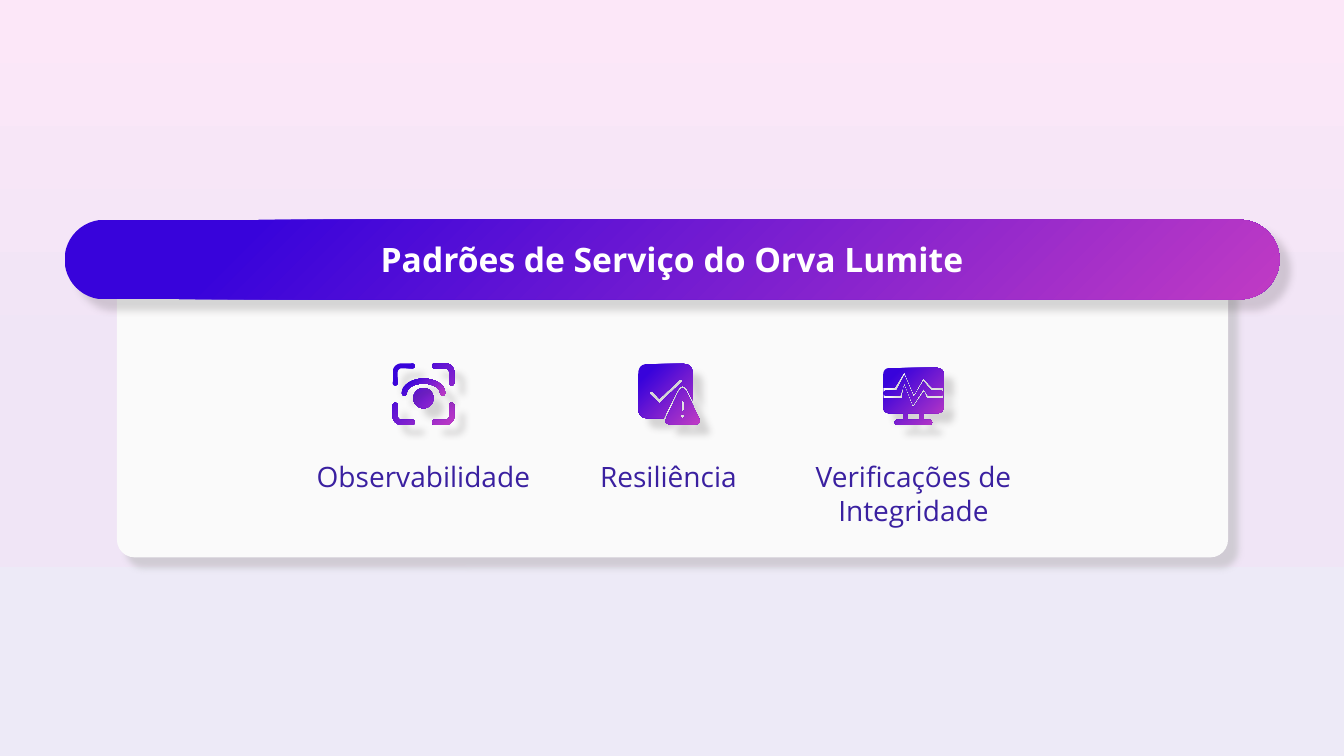
import math
from dataclasses import dataclass

import lxml.etree
import pptx
import pptx.dml.color
import pptx.enum.shapes
import pptx.enum.text
import pptx.oxml
import pptx.oxml.ns
import pptx.util

Inches, Pt = pptx.util.Inches, pptx.util.Pt
qn = pptx.oxml.ns.qn


@dataclass(frozen=True)
class Theme:
    font: str = "Open Sans"
    title_size: int = 24
    label_size: int = 20
    title: str = "FFFFFF"
    label: str = "3A20A0"
    card: str = "FAFAFA"
    card_shadow: tuple = ("B1B3B3", 50)
    accent_shadow: tuple = ("454142", 20)
    accent: tuple = ((0, "C03BC4"), (85, "3803DB"), (100, "3803DB"))
    background: tuple = ((0, "FCE7F8"), (50, "F0E5F6"), (100, "EDEAF7"))


THEME = Theme()
ICON_SIZE = 0.6
COLUMN_PITCH = 2.43


def color(value):
    return pptx.dml.color.RGBColor.from_string(value)


def set_gradient(fill, owner, stops, radial=False):
    """Fill with (percent, colour) stops, downwards or radiating from the bottom right corner."""
    fill.gradient()
    gradient = next(owner.iter(qn("a:gradFill")))
    gradient.clear()
    stop_list = lxml.etree.SubElement(gradient, qn("a:gsLst"))
    for percent, value in stops:
        stop = lxml.etree.SubElement(stop_list, qn("a:gs"), pos=str(percent * 1000))
        lxml.etree.SubElement(stop, qn("a:srgbClr"), val=value)
    if radial:
        circle = lxml.etree.SubElement(gradient, qn("a:path"), {"path": "circle"})
        lxml.etree.SubElement(circle, qn("a:fillToRect"), l="100000", t="100000")
    else:
        lxml.etree.SubElement(gradient, qn("a:lin"), ang="5400000", scaled="0")


def set_shadow(shape, value, opacity):
    shape.line.fill.background()
    shape.shadow.inherit = False
    effects = next(shape._element.iter(qn("a:effectLst")))
    shadow = lxml.etree.SubElement(
        effects, qn("a:outerShdw"), blurRad=str(Pt(5)), dist=str(Pt(10)),
        dir="2700000", algn="tl", rotWithShape="0")
    tint = lxml.etree.SubElement(shadow, qn("a:srgbClr"), val=value)
    lxml.etree.SubElement(tint, qn("a:alpha"), val=str(opacity * 1000))


def style_accent(shape):
    set_gradient(shape.fill, shape._element, THEME.accent, radial=True)
    set_shadow(shape, *THEME.accent_shadow)


def write_text(frame, text, *, size, value, bold=False):
    frame.word_wrap = True
    paragraph = frame.paragraphs[0]
    paragraph.text = text
    paragraph.alignment = pptx.enum.text.PP_ALIGN.CENTER
    paragraph.font.name = THEME.font
    paragraph.font.size = Pt(size)
    paragraph.font.bold = bold
    paragraph.font.color.rgb = color(value)


def add_round_rectangle(slide, box, rounding):
    shape = slide.shapes.add_shape(
        pptx.enum.shapes.MSO_SHAPE.ROUNDED_RECTANGLE, *map(Inches, box))
    shape.adjustments[0] = rounding
    return shape


def arc(center, radius_x, radius_y, start, end, steps=16):
    angles = [math.radians(start + (end - start) * i / steps) for i in range(steps + 1)]
    return [(center[0] + radius_x * math.cos(a), center[1] + radius_y * math.sin(a))
            for a in angles]


def circle(center, radius):
    return arc(center, radius, radius, 0, 360, 32)


def rounded_polygon(*corners):
    """Outline of (x, y, cut) corners, each rounded from cut before it to cut after it."""
    outline = []
    for i, (x, y, cut) in enumerate(corners):
        ends = []
        for other_x, other_y, _ in (corners[i - 1], corners[(i + 1) % len(corners)]):
            share = cut / math.hypot(other_x - x, other_y - y)
            ends.append((x + (other_x - x) * share, y + (other_y - y) * share))
        for t in [k / 6 for k in range(7)] if cut else [0]:
            weights = ((1 - t) ** 2, 2 * t * (1 - t), t ** 2)
            points = (ends[0], (x, y), ends[1])
            outline.append(tuple(sum(w * p[axis] for w, p in zip(weights, points))
                                 for axis in (0, 1)))
    return outline


def stroke(points, width, round_ends=True):
    """Outline of a line of the given width drawn along the points."""
    half = width / 2
    headings = [math.atan2(b[1] - a[1], b[0] - a[0]) for a, b in zip(points, points[1:])]
    left, right = [], []
    for i, (x, y) in enumerate(points):
        before, after = headings[max(i - 1, 0)], headings[min(i, len(headings) - 1)]
        turn = math.remainder(after - before, 2 * math.pi)
        normal = before + turn / 2 + math.pi / 2
        reach = half * min(1 / max(math.cos(turn / 2), 0.01), 1.3)
        dx, dy = reach * math.cos(normal), reach * math.sin(normal)
        left.append((x + dx, y + dy))
        right.append((x - dx, y - dy))
    if not round_ends:
        return left + right[::-1]
    first, last = math.degrees(headings[0]), math.degrees(headings[-1])
    return (left + arc(points[-1], half, half, last + 90, last - 90, 8)
            + right[::-1] + arc(points[0], half, half, first - 90, first - 270, 8))


def add_outline(slide, left, top, contours):
    """Draw the contours as one shape; a contour inside another cuts a hole."""
    placed = [[(Inches(left + x), Inches(top + y)) for x, y in contour]
              for contour in contours]
    builder = slide.shapes.build_freeform(*placed[0][0], scale=1.0)
    for i, contour in enumerate(placed):
        if i:
            builder.move_to(*contour[0])
        builder.add_line_segments(contour[1:], close=True)
    style_accent(builder.convert_to_shape())


def add_observability_icon(slide, left, top):
    bracket = stroke([(0.02, 0.19)] + arc((0.08, 0.08), 0.06, 0.06, 180, 270, 8)
                     + [(0.19, 0.02)], 0.05)
    brackets = [[(ICON_SIZE - x if flip_x else x, ICON_SIZE - y if flip_y else y)
                 for x, y in bracket]
                for flip_x in (False, True) for flip_y in (False, True)]
    add_outline(slide, left, top, brackets + [circle((0.3, 0.34), 0.1)])
    add_outline(slide, left, top, [stroke(arc((0.3, 0.29), 0.19, 0.12, 180, 360), 0.05)])


def add_resilience_icon(slide, left, top):
    add_outline(slide, left, top, [
        rounded_polygon((0, 0, 0.1), (0.54, 0, 0.1), (0.54, 0.36, 0),
                        (0.44, 0.15, 0.15), (0.25, 0.54, 0), (0, 0.54, 0.1)),
        stroke([(0.13, 0.29), (0.21, 0.37), (0.42, 0.17)], 0.04),
        rounded_polygon((0.44, 0.2, 0.1), (0.63, 0.6, 0.07), (0.25, 0.6, 0.07)),
        stroke([(0.44, 0.38), (0.44, 0.46)], 0.03),
        circle((0.44, 0.52), 0.02)])


def add_health_icon(slide, left, top):
    peaks = [(0.15, 0.25), (0.21, 0.11), (0.3, 0.33), (0.4, 0.17), (0.46, 0.25)]
    legs = [stroke([(x, 0.45), (x, 0.52)], 0.04, round_ends=False) for x in (0.22, 0.38)]
    add_outline(slide, left, top + 0.04, [
        rounded_polygon((0, 0, 0.07), (0.6, 0, 0.07), (0.6, 0.45, 0.07), (0, 0.45, 0.07)),
        stroke([(0, 0.25), *peaks, (0.6, 0.25)], 0.11, round_ends=False),
        stroke([(0.03, 0.25), *peaks, (0.57, 0.25)], 0.05),
        *legs,
        stroke([(0.14, 0.54), (0.46, 0.54)], 0.05)])


FEATURES = [
    ("Observabilidade", 2.43, 0.44, add_observability_icon),
    ("Resiliência", 2, 0.44, add_resilience_icon),
    ("Verificações de Integridade", 2.17, 0.77, add_health_icon),
]


def add_card(slide, box):
    card = add_round_rectangle(slide, box, 0.06)
    card.fill.solid()
    card.fill.fore_color.rgb = color(THEME.card)
    set_shadow(card, *THEME.card_shadow)


def add_features(slide, box):
    """Place one icon above its label per column of the card."""
    left, top = box[:2]
    for i, (text, width, height, add_icon) in enumerate(FEATURES):
        center = left + 3.04 + i * COLUMN_PITCH
        add_icon(slide, center - ICON_SIZE / 2, top + 1.01)
        label = slide.shapes.add_textbox(
            *map(Inches, (center - width / 2, top + 1.91, width, height)))
        write_text(label.text_frame, text, size=THEME.label_size, value=THEME.label)
        label.text_frame.auto_size = pptx.enum.text.MSO_AUTO_SIZE.SHAPE_TO_FIT_TEXT


def add_banner(slide, box, text):
    banner = add_round_rectangle(slide, box, 0.5)
    style_accent(banner)
    frame = banner.text_frame
    frame.margin_left = frame.margin_right = frame.margin_top = frame.margin_bottom = 0
    frame.vertical_anchor = pptx.enum.text.MSO_ANCHOR.MIDDLE
    write_text(frame, text, size=THEME.title_size, value=THEME.title, bold=True)


def main():
    presentation = pptx.Presentation()
    presentation.slide_width, presentation.slide_height = Inches(13.33), Inches(7.5)
    slide = presentation.slides.add_slide(presentation.slide_layouts[6])
    set_gradient(slide.background.fill, slide._element, THEME.background)
    card_box = (1.16, 2.6, 11.02, 2.93)
    add_card(slide, card_box)
    add_banner(slide, (0.64, 2.18, 12.05, 0.79), "Padrões de Serviço do Orva Lumite")
    add_features(slide, card_box)
    presentation.save("out.pptx")


if __name__ == "__main__":
    main()
